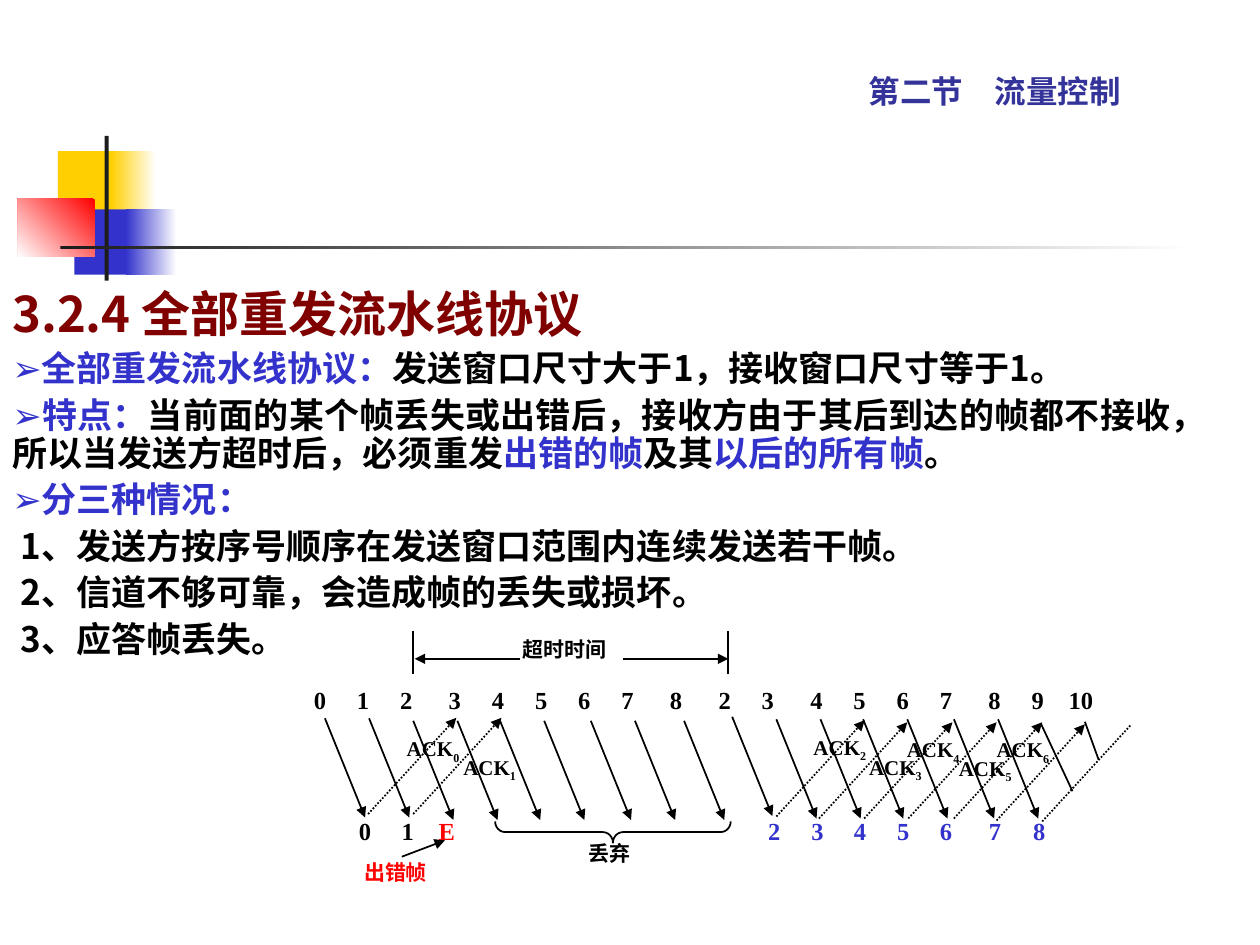
from lxml import etree
from pptx import Presentation, util as u
from pptx.dml.color import RGBColor
from pptx.enum import dml, shapes, text
from pptx.oxml.ns import qn

BLACK = RGBColor(0x00, 0x00, 0x00)
WHITE = RGBColor(0xFF, 0xFF, 0xFF)
CHARCOAL = RGBColor(0x1C, 0x1C, 0x1C)
YELLOW = RGBColor(0xFF, 0xCF, 0x01)
RED = RGBColor(0xFF, 0x00, 0x00)
BLUE = RGBColor(0x33, 0x33, 0xCC)
NAVY = RGBColor(0x33, 0x33, 0x99)
MAROON = RGBColor(0x80, 0x00, 0x00)

CJK, SERIF, SANS = "Noto Sans CJK SC", "Times New Roman", "Arial"


def cm(*values):
    return [u.Cm(value) for value in values]


def add_run(paragraph, words, size, color=BLACK, name=SERIF, baseline=0):
    run = paragraph.add_run()
    run.text = words
    formats = {"size": u.Pt(size), "bold": True, "name": name}
    for attribute, value in formats.items():
        setattr(run.font, attribute, value)
    run.font.color.rgb = color
    properties = run._r.get_or_add_rPr()
    etree.SubElement(properties, qn("a:ea"), typeface=CJK)
    if baseline:
        properties.set("baseline", str(baseline * 1000))


def add_text_box(slide, left, top, width, height):
    frame = slide.shapes.add_textbox(*cm(left, top, width, height)).text_frame
    frame.word_wrap = True
    return frame


def add_label(slide, box, words, color=BLACK, subscript=""):
    paragraph = add_text_box(slide, *box).paragraphs[0]
    add_run(paragraph, words, 12, color)
    if subscript:
        add_run(paragraph, subscript, 12, color, baseline=-25)


def add_number_row(slide, box, numbers):
    """Numbers are (text, centre, colour); each sits on a centred tab stop."""
    paragraph = add_text_box(slide, *box).paragraphs[0]
    tabs = etree.SubElement(paragraph._p.get_or_add_pPr(), qn("a:tabLst"))
    for words, centre, color in numbers:
        etree.SubElement(tabs, qn("a:tab"), pos=str(u.Cm(centre)), algn="ctr")
        add_run(paragraph, "\t" + words, 14, color)


def add_line(slide, x1, y1, x2, y2, arrow=True, dotted=False):
    line = slide.shapes.add_connector(
        shapes.MSO_CONNECTOR.STRAIGHT, *cm(x1, y1, x2, y2))
    line.line.color.rgb = BLACK
    line.line.width = u.Pt(1)
    if dotted:
        line.line.dash_style = dml.MSO_LINE.ROUND_DOT
    if arrow:
        etree.SubElement(line.line._get_or_add_ln(), qn("a:tailEnd"), type="triangle")
    etree.SubElement(line._element.spPr, qn("a:effectLst"))


def add_block(slide, box, color, fade_angle=None):
    """Rectangle in one colour, or fading to white along an angle."""
    block = slide.shapes.add_shape(shapes.MSO_SHAPE.RECTANGLE, *cm(*box))
    block.shadow.inherit = False
    block.line.fill.background()
    if fade_angle is None:
        block.fill.solid()
        block.fill.fore_color.rgb = color
        return
    block.fill.gradient()
    block.fill.gradient_angle = fade_angle
    for stop, stop_color in zip(block.fill.gradient_stops, (color, WHITE)):
        stop.color.rgb = stop_color


def add_decoration(slide):
    add_block(slide, (1.17, 3.05, 1.22, 1.32), YELLOW)
    add_block(slide, (2.24, 3.05, 0.91, 1.32), YELLOW, 0)
    add_block(slide, (1.5, 4.22, 1.17, 1.32), BLUE)
    add_block(slide, (2.54, 4.22, 1.02, 1.32), BLUE, 0)
    add_block(slide, (0.36, 4.01, 1.55, 1.17), RED, 225)
    add_block(slide, (2.11, 2.74, 0.08, 2.92), CHARCOAL)
    add_block(slide, (1.22, 4.95, 22.86, 0.08), CHARCOAL, 0)


def format_title(title):
    title.left, title.top, title.width, title.height = cm(16.51, 1.07, 8.26, 1.27)
    frame = title.text_frame
    formats = {"vertical_anchor": text.MSO_ANCHOR.BOTTOM, "margin_left": u.Cm(1),
               "word_wrap": True, "auto_size": text.MSO_AUTO_SIZE.NONE}
    for attribute, value in formats.items():
        setattr(frame, attribute, value)
    frame.paragraphs[0].alignment = text.PP_ALIGN.LEFT
    add_run(frame.paragraphs[0], "第二节　流量控制", 18, NAVY, CJK)


def add_body(slide):
    bullet = ("➢", BLUE, SANS)
    lines = [
        [("3.2.4 全部重发流水线协议", MAROON, CJK)],
        [bullet, ("全部重发流水线协议：", BLUE, CJK),
         ("发送窗口尺寸大于1，接收窗口尺寸等于1。", BLACK, CJK)],
        [bullet, ("特点：", BLUE, CJK),
         ("当前面的某个帧丢失或出错后，接收方由于其后到达的帧都不接收，"
          "所以当发送方超时后，必须重发", BLACK, CJK),
         ("出错的帧", BLUE, CJK), ("及其", BLACK, CJK),
         ("以后的所有帧", BLUE, CJK), ("。", BLACK, CJK)],
        [bullet, ("分三种情况：", BLUE, CJK)],
        [(" 1、发送方按序号顺序在发送窗口范围内连续发送若干帧。", BLACK, CJK)],
        [(" 2、信道不够可靠，会造成帧的丢失或损坏。", BLACK, CJK)],
        [(" 3、应答帧丢失。", BLACK, CJK)],
    ]
    frame = add_text_box(slide, 0, 5.72, 24.56, 7.82)
    for index, line in enumerate(lines):
        paragraph = frame.add_paragraph() if index else frame.paragraphs[0]
        formats = {"alignment": text.PP_ALIGN.JUSTIFY, "line_spacing": 0.9,
                   "space_before": u.Pt(5 if index else 7)}
        for attribute, value in formats.items():
            setattr(paragraph, attribute, value)
        for words, color, name in line:
            add_run(paragraph, words, 20 if index else 28, color, name)


def add_timeout(slide):
    for x in (8.33, 14.68):
        add_line(slide, x, 13.59, x, 12.73, arrow=False)
    add_line(slide, 12.55, 13.28, 14.68, 13.28)
    add_line(slide, 10.49, 13.28, 8.36, 13.28)
    add_label(slide, (10.29, 12.7, 2.92, 1.3), "超时时间")


def add_frames(slide):
    # Sent frames slope down, one arrow for each start point
    starts = {14.48: (6.55, 7.44),
              14.53: (8.33, 9.22, 10.08, 10.97, 11.91, 12.8, 13.79),
              14.45: (14.76,),
              14.5: (15.65, 16.54, 17.4, 18.29, 19.23, 20.12)}
    for y, row in starts.items():
        for x in row:
            add_line(slide, x, y, x + 0.81, y + 2)
    add_line(slide, 20.98, 14.58, 21.62, 15.95, arrow=False)
    add_line(slide, 21.87, 14.55, 22.15, 15.32, arrow=False)

    # Acknowledgements slope up; the last has not arrived
    replies = [(7.42, 16.41), (8.33, 16.41), (15.65, 16.46), (16.51, 16.5),
               (17.42, 16.5), (18.31, 16.5), (19.23, 16.5), (20.09, 16.54),
               (21.01, 16.56)]
    for x, y in replies:
        add_line(slide, x, y, x + 1.78, y - 1.94, (x, y) != replies[-1], dotted=True)
    places = [(7.95, 14.71), (9.09, 15.09), (16.15, 14.68), (17.27, 15.09),
              (18.03, 14.73), (19.08, 15.11), (19.84, 14.73)]
    for number, (x, y) in enumerate(places):
        add_label(slide, (x, y, 2.39, 1.73), "ACK", subscript=str(number))


def add_numbers(slide):
    sent = [*range(9), *range(2, 11)]
    wider_after = (2, 7, 8, 10, 14)
    add_number_row(slide, (5.59, 13.69, 17.4, 0.86), [
        (str(number), 0.61 + 0.87 * i + 0.11 * sum(i > gap for gap in wider_after), BLACK)
        for i, number in enumerate(sent)])
    received = [("0", 0.61, BLACK), ("1", 1.47, BLACK), ("E", 2.26, RED)]
    centres = (8.86, 9.73, 10.59, 11.46, 12.32, 13.31, 14.2)
    received += [(str(number), x, BLUE) for number, x in enumerate(centres, 2)]
    add_number_row(slide, (6.5, 16.33, 18.8, 0.86), received)


def add_error_notes(slide):
    brace = slide.shapes.add_shape(
        shapes.MSO_SHAPE.RIGHT_BRACE, *cm(12.14, 14.4, 0.43, 4.75))
    brace.rotation = 90
    brace.adjustments[0] = 0.47
    brace.shadow.inherit = False
    brace.fill.background()
    brace.line.color.rgb = BLACK
    brace.line.width = u.Pt(1)
    add_label(slide, (11.61, 16.81, 2.11, 1.3), "丢弃")
    add_line(slide, 8.1, 17.27, 8.97, 16.94)
    add_label(slide, (7.09, 17.2, 2.64, 1.3), "出错帧", RED)


def main():
    presentation = Presentation()
    presentation.slide_width, presentation.slide_height = cm(25.4, 19.05)
    slide = presentation.slides.add_slide(presentation.slide_layouts[5])
    add_decoration(slide)
    format_title(slide.shapes.title)
    # Timing diagram
    add_timeout(slide)
    add_frames(slide)
    add_error_notes(slide)
    add_numbers(slide)
    add_body(slide)
    presentation.save("out.pptx")


if __name__ == "__main__":
    main()
